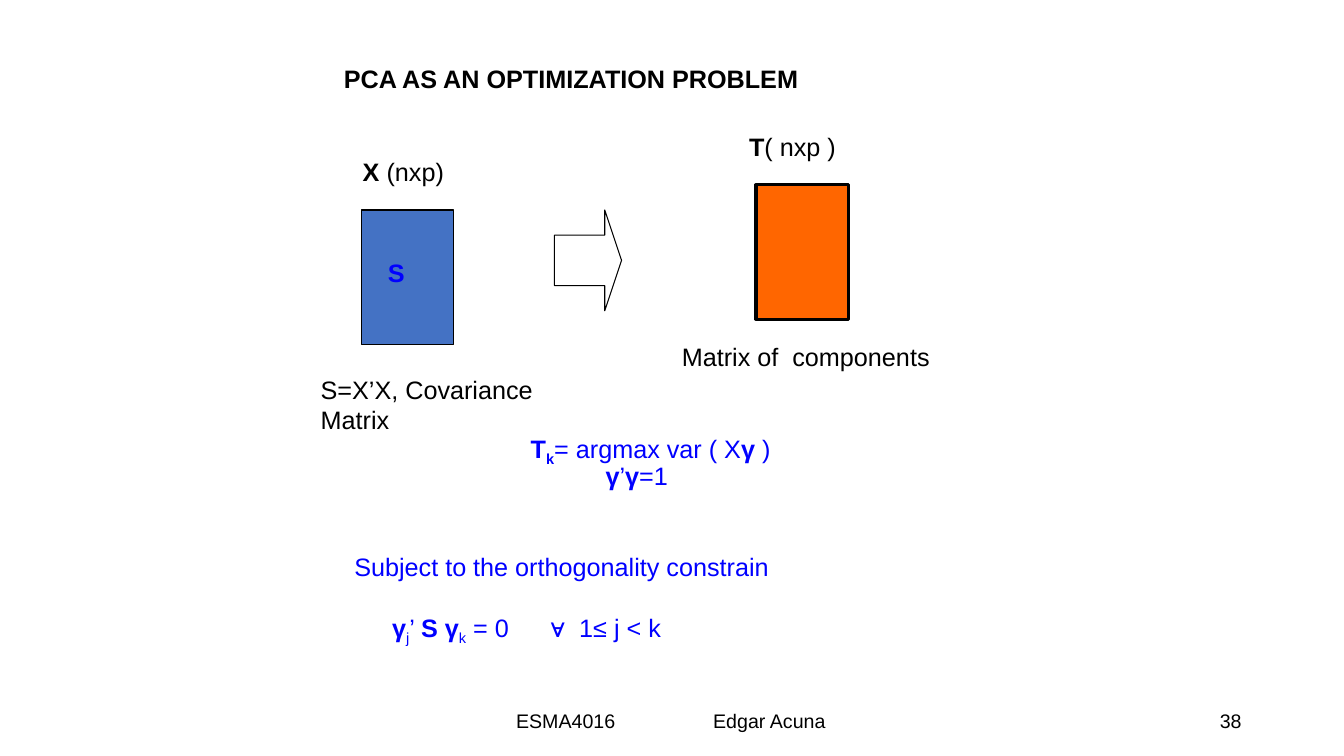
from lxml.etree import SubElement
from pptx import Presentation
from pptx.dml.color import RGBColor
from pptx.enum.shapes import MSO_SHAPE
from pptx.enum.text import MSO_ANCHOR, PP_ALIGN
from pptx.oxml.ns import qn
from pptx.util import Pt

BLACK = RGBColor(0x00, 0x00, 0x00)
WHITE = RGBColor(0xFF, 0xFF, 0xFF)
INK = RGBColor(0x00, 0x00, 0xFF)
BLUE = RGBColor(0x44, 0x72, 0xC4)
ORANGE = RGBColor(0xFF, 0x66, 0x00)
ROW = 29


def add_text(slide, x, y, w, runs, h=ROW, color=BLACK, size=18,
             align=PP_ALIGN.LEFT, anchor=MSO_ANCHOR.TOP, tab=None):
    """Place one paragraph; runs are (text, marks), b for bold, s for subscript."""
    box = slide.shapes.add_textbox(Pt(x), Pt(y), Pt(w), Pt(h))
    frame = box.text_frame
    frame.word_wrap = True
    frame.vertical_anchor = anchor
    para = frame.paragraphs[0]
    para.alignment = align
    if tab:
        stops = SubElement(para._p.get_or_add_pPr(), qn("a:tabLst"))
        SubElement(stops, qn("a:tab"), pos=str(Pt(tab)), algn="l")
    for words, marks in runs:
        run = para.add_run()
        run.text = words
        font = run.font
        font.name, font.size, font.bold = "Arial", Pt(size), "b" in marks
        font.color.rgb = color
        if "s" in marks:
            run._r.get_or_add_rPr().set("baseline", "-25000")


def add_block(slide, kind, x, y, w, h, fill, width=0.75):
    shape = slide.shapes.add_shape(kind, Pt(x), Pt(y), Pt(w), Pt(h))
    shape.shadow.inherit = False
    shape.fill.solid()
    shape.fill.fore_color.rgb = fill
    shape.line.color.rgb = BLACK
    shape.line.width = Pt(width)
    return shape


def add_source(slide, x, y, w, h):
    """Data matrix X with its covariance S."""
    add_block(slide, MSO_SHAPE.RECTANGLE, x, y, w, h, BLUE)
    add_text(slide, x - 6, y - 42, 90, [("X ", "b"), ("(nxp)", "")])
    add_text(slide, x + 12, y + 30, 36, [("S", "b")], color=INK)
    add_text(slide, x - 36, y + h + 18, 174,
             [("S=X’X, Covariance Matrix", "")], h=50)


def add_arrow(slide, x, y, w, h):
    arrow = add_block(slide, MSO_SHAPE.RIGHT_ARROW, x, y, w, h, WHITE)
    arrow.adjustments[0] = 0.5
    arrow.adjustments[1] = 0.25


def add_result(slide, x, y, w, h):
    """Matrix T of components."""
    add_block(slide, MSO_SHAPE.RECTANGLE, x, y, w, h, ORANGE, 2.25)
    add_text(slide, x - 12, y - 42, 78, [("T", "b"), ("( nxp )", "")])
    add_text(slide, x - 60, y + h + 12, 198, [("Matrix of  components", "")])


def add_goal(slide, x, y, w):
    add_text(slide, x, y, w, [
        ("T", "b"), ("k", "bs"), ("= argmax var ( X", ""), ("γ ", "b"), (")", ""),
    ], color=INK)
    add_text(slide, x + 53.5, y + 19.5, 127, [
        ("γ", "b"), ("’", ""), ("γ", "b"), ("=1", ""),
    ], color=INK)


def add_limit(slide, x, y, w):
    """Orthogonality constraint."""
    add_text(slide, x, y, w, [("Subject to the orthogonality constrain", "")],
             color=INK)
    add_text(slide, x + 27, y + 43.5, w, [
        ("γ", "b"), ("j", "s"), ("’ ", ""), ("S γ", "b"), ("k", "s"),
        (" = 0\t ", ""), ("∀ ", "b"), (" 1≤ j < k", ""),
    ], color=INK, tab=108)


def add_footer(slide, x, y, w):
    add_text(slide, x, y, 250, [("ESMA4016\tEdgar Acuna", "")], size=14,
             anchor=MSO_ANCHOR.MIDDLE, tab=140.8)
    add_text(slide, x + w - 216, y, 216, [("38", "")], size=14,
             align=PP_ALIGN.RIGHT, anchor=MSO_ANCHOR.MIDDLE)


def main():
    deck = Presentation()
    deck.slide_width, deck.slide_height = Pt(960), Pt(540)
    slide = deck.slides.add_slide(deck.slide_layouts[6])
    add_text(slide, 180, 42, 456, [("PCA AS AN OPTIMIZATION PROBLEM", "b")],
             align=PP_ALIGN.CENTER)
    add_source(slide, 258, 150, 66, 96)
    add_arrow(slide, 396, 150, 48, 72)
    add_result(slide, 540, 132, 66, 96)
    add_goal(slide, 372, 306, 242)
    add_limit(slide, 246, 390, 342)
    add_footer(slide, 361.5, 500.5, 532.5)
    deck.save("out.pptx")


if __name__ == "__main__":
    main()
